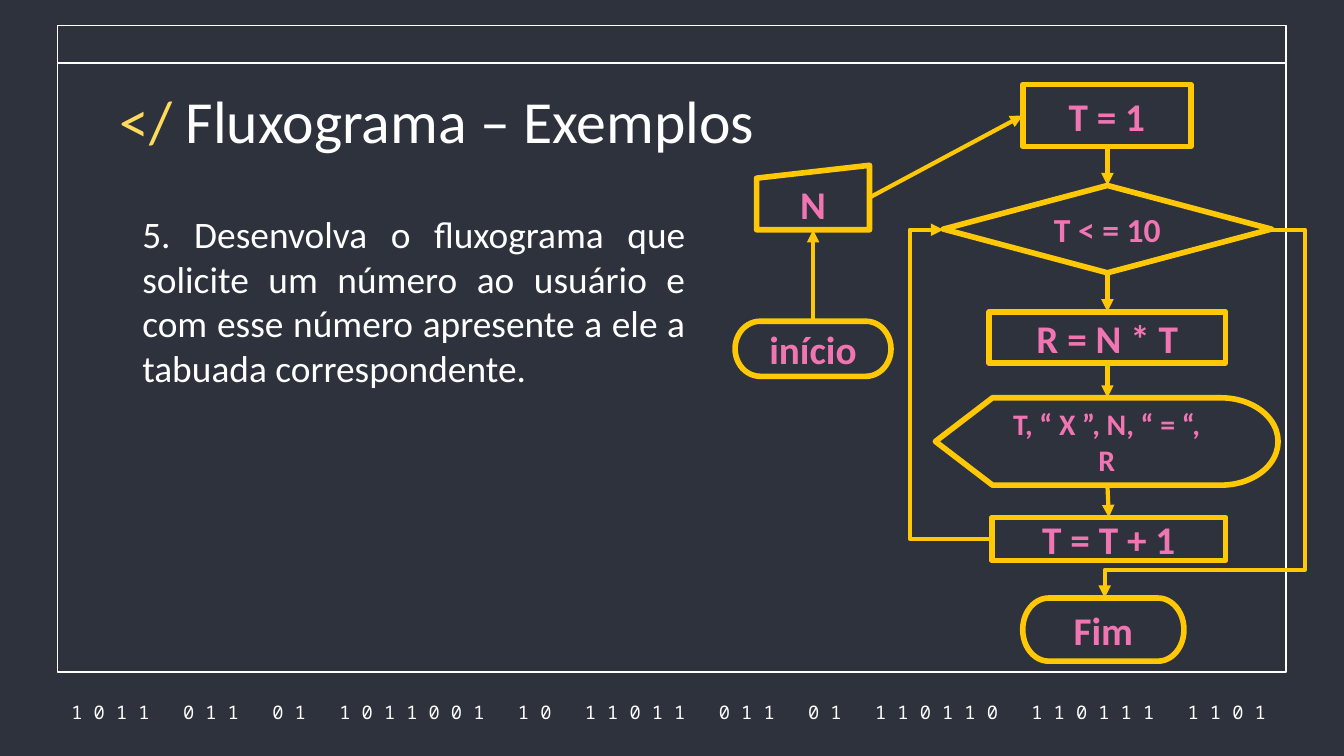
from lxml.etree import SubElement
from pptx import Presentation
from pptx.dml.color import RGBColor
from pptx.enum.shapes import MSO_CONNECTOR, MSO_SHAPE
from pptx.enum.text import MSO_ANCHOR, PP_ALIGN
from pptx.oxml.ns import qn
from pptx.util import Inches, Pt

NAVY = RGBColor(0x2D, 0x32, 0x3C)
WHITE = RGBColor(0xFF, 0xFF, 0xFF)
YELLOW = RGBColor(0xFF, 0xDB, 0x5D)
AMBER = RGBColor(0xFF, 0xC8, 0x06)
PINK = RGBColor(0xF1, 0x75, 0xB3)

BINARY_GROUPS = "1011 011 01 1011001 10 11011 011 01 110110 110111 1101"
EXERCISE = ("5. Desenvolva o fluxograma que solicite um número ao usuário e "
            "com esse número apresente a ele a tabuada correspondente.")

# Flowchart steps: shape, left, top, width, height, text, size
STEPS = [
    (MSO_SHAPE.FLOWCHART_TERMINATOR, 5.47, 2.39, 1.16, 0.41, "início", 21),
    (MSO_SHAPE.FLOWCHART_MANUAL_INPUT, 5.63, 1.23, 0.84, 0.48, "N", 21),
    (MSO_SHAPE.FLOWCHART_PROCESS, 7.61, 0.63, 1.25, 0.46, "T = 1", 21),
    (MSO_SHAPE.FLOWCHART_DECISION, 7.02, 1.38, 2.44, 0.65, "T < = 10", 18),
    (MSO_SHAPE.FLOWCHART_PROCESS, 7.36, 2.32, 1.76, 0.38, "R = N * T", 21),
    (MSO_SHAPE.FLOWCHART_DISPLAY, 6.96, 2.96, 2.55, 0.65,
     "T, “ X ”, N, “ = “, R", 16),
    (MSO_SHAPE.FLOWCHART_PROCESS, 7.38, 3.85, 1.74, 0.32, "T = T + 1", 21),
    (MSO_SHAPE.FLOWCHART_TERMINATOR, 7.61, 4.45, 1.2, 0.47, "Fim", 21),
]

# Straight arrows: start and end points
ARROWS = [
    ((6.05, 2.39), (6.05, 1.71)),
    ((6.47, 1.47), (7.61, 0.86)),
    ((8.24, 1.09), (8.24, 1.38)),
    ((8.24, 2.03), (8.24, 2.32)),
    ((8.24, 2.69), (8.24, 2.96)),
    ((8.24, 3.61), (8.25, 3.85)),
]


def format_font(font, size, color, name="Calibri", bold=False):
    font.name = name
    font.size = Pt(size)
    font.color.rgb = color
    font.bold = bold


def add_frame(slide, height):
    frame = slide.shapes.add_shape(MSO_SHAPE.RECTANGLE, Inches(0.43),
                                   Inches(0.19), Inches(9.14), Inches(height))
    frame.shadow.inherit = False
    frame.fill.solid()
    frame.fill.fore_color.rgb = NAVY
    frame.line.color.rgb = WHITE
    frame.line.width = Pt(0.75)


def add_text_box(slide, left, top, width, height):
    box = slide.shapes.add_textbox(Inches(left), Inches(top),
                                   Inches(width), Inches(height))
    text_frame = box.text_frame
    text_frame.word_wrap = True
    text_frame.margin_left = text_frame.margin_right = Inches(0.1)
    text_frame.margin_top = text_frame.margin_bottom = Inches(0.1)
    return text_frame


def add_run(paragraph, text, size, color, name="Calibri"):
    run = paragraph.add_run()
    run.text = text
    format_font(run.font, size, color, name)
    return run


def add_binary_strip(slide):
    text_frame = add_text_box(slide, 0.34, 5.2, 9.27, 0.2)
    text_frame.vertical_anchor = MSO_ANCHOR.MIDDLE
    paragraph = text_frame.paragraphs[0]
    paragraph.alignment = PP_ALIGN.CENTER
    for index, group in enumerate(BINARY_GROUPS.split()):
        if index:
            # One space, widened by two characters of 6 pt
            gap = add_run(paragraph, " ", 10, WHITE, "Noto Sans Mono")
            gap.font._element.set("spc", "1200")
        add_run(paragraph, " ".join(group), 10, WHITE, "Noto Sans Mono")


def add_step(slide, kind, left, top, width, height, text, size):
    step = slide.shapes.add_shape(kind, Inches(left), Inches(top),
                                  Inches(width), Inches(height))
    step.shadow.inherit = False
    step.fill.background()
    step.line.color.rgb = AMBER
    step.line.width = Pt(3)
    text_frame = step.text_frame
    text_frame.text = text
    text_frame.word_wrap = True
    text_frame.vertical_anchor = MSO_ANCHOR.MIDDLE
    paragraph = text_frame.paragraphs[0]
    paragraph.alignment = PP_ALIGN.CENTER
    format_font(paragraph.runs[0].font, size, PINK, bold=True)


def add_arrow(slide, start, end, kind=MSO_CONNECTOR.STRAIGHT):
    points = [Inches(value) for value in (*start, *end)]
    arrow = slide.shapes.add_connector(kind, *points)
    arrow.line.color.rgb = AMBER
    arrow.line.width = Pt(2.25)
    properties = arrow._element.spPr
    SubElement(properties.find(qn("a:ln")), qn("a:tailEnd"), type="triangle")
    SubElement(properties, qn("a:effectLst"))
    return arrow


def add_bent_arrow(slide, start, end, bends):
    """Bends are the x, then the y, at which the arrow turns."""
    arrow = add_arrow(slide, start, end, MSO_CONNECTOR.ELBOW)
    geometry = arrow._element.spPr.find(qn("a:prstGeom"))
    geometry.set("prst", f"bentConnector{len(bends) + 2}")
    adjustments = geometry.find(qn("a:avLst"))
    for number, (bend, first, last) in enumerate(zip(bends, start, end), 1):
        share = (bend - first) / (last - first)
        SubElement(adjustments, qn("a:gd"), name=f"adj{number}",
                   fmla=f"val {round(share * 100000)}")


def main():
    presentation = Presentation()
    presentation.slide_width = Inches(10)
    presentation.slide_height = Inches(10) * 9 // 16
    slide = presentation.slides.add_slide(presentation.slide_layouts[6])
    slide.background.fill.solid()
    slide.background.fill.fore_color.rgb = NAVY

    # Window frame with its title bar, and the binary strip
    for height in (4.81, 0.28):
        add_frame(slide, height)
    add_binary_strip(slide)

    # Title
    title = add_text_box(slide, 0.79, 0.52, 8.43, 0.61).paragraphs[0]
    add_run(title, "</ ", 32, YELLOW)
    add_run(title, "Fluxograma – Exemplos", 32, WHITE)

    # Exercise
    exercise = add_text_box(slide, 0.79, 1.47, 4.41, 1.18).paragraphs[0]
    exercise.alignment = PP_ALIGN.JUSTIFY
    exercise._p.get_or_add_pPr().set("marL", str(Inches(0.17)))
    add_run(exercise, EXERCISE, 20, WHITE)

    # Flowchart
    for step in STEPS:
        add_step(slide, *step)
    for start, end in ARROWS:
        add_arrow(slide, start, end)
    add_bent_arrow(slide, (9.46, 1.71), (8.22, 4.45), (9.71, 4.24))
    add_bent_arrow(slide, (7.38, 4.01), (7.02, 1.71), (6.77,))

    presentation.save("out.pptx")


if __name__ == "__main__":
    main()
